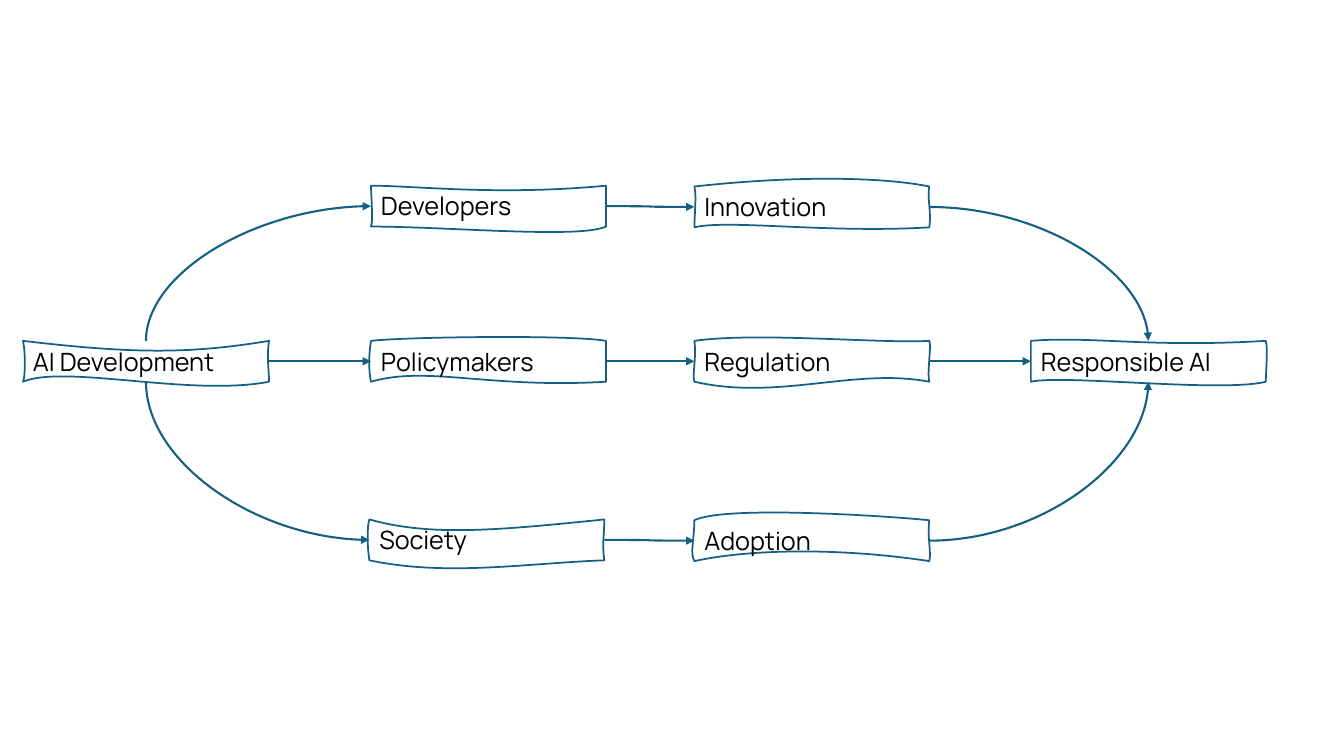
from dataclasses import dataclass

from lxml import etree
from pptx import Presentation
from pptx.dml.color import RGBColor
from pptx.enum.shapes import MSO_CONNECTOR
from pptx.enum.text import MSO_ANCHOR, MSO_AUTO_SIZE, PP_ALIGN
from pptx.oxml.ns import qn
from pptx.util import Cm, Pt

CURVE = MSO_CONNECTOR.CURVE
TOP = MSO_ANCHOR.TOP
GROW = MSO_AUTO_SIZE.SHAPE_TO_FIT_TEXT
LEFT = PP_ALIGN.LEFT


@dataclass(frozen=True)
class Theme:
    """Colours, type and line sizes of the slide."""
    ink: RGBColor = RGBColor(0x15, 0x60, 0x82)
    text: RGBColor = RGBColor(0, 0, 0)
    font: str = "Manrope"
    size: int = Pt(18)
    edge: int = Pt(1.25)
    arrow: int = Pt(1.5)


THEME = Theme()
WIDE, SLIM, TALL = 6.2, 5.92, 1.03
CORNERS = [(0, 0), (1, 0), (1, 1), (0, 1)]

# Name: left, top, width in cm, then two bends per side as shares of the box
NODES = {
    "AI Development": (0.58, 8.59, WIDE, [
        (.45, .32), (.68, .32), (.99, .45), (1, .67),
        (.68, 1.37), (.17, .57), (.01, .9), (.01, .25)]),
    "Developers": (9.35, 4.68, SLIM, [
        (.19, 0), (.54, .25), (1, .3), (1, .72),
        (.89, 1.3), (.32, 1), (.01, .9), (0, .15)]),
    "Innovation": (17.5, 4.7, SLIM, [
        (.48, -.3), (.83, -.2), (.99, .28), (1.01, .6),
        (.57, 1.15), (.14, .8), (0, .72), (.01, .22)]),
    "Responsible AI": (25.98, 8.59, SLIM, [
        (.26, -.12), (.5, .17), (1.01, .17), (1, .8),
        (.81, 1.27), (.14, .82), (0, .77), (0, .15)]),
    "Society": (9.31, 13.09, SLIM, [
        (.26, .42), (.54, .27), (1, .4), (.99, .55),
        (.67, 1.07), (.33, 1.4), (-.01, .65), (-.01, .15)]),
    "Adoption": (17.5, 13.11, SLIM, [
        (.13, -.37), (.83, -.1), (.99, .37), (1.01, .8),
        (.62, .67), (.24, .7), (-.02, .8), (0, .45)]),
    "Policymakers": (9.35, 8.59, SLIM, [
        (.15, -.1), (.86, -.15), (1, .4), (1, .52),
        (.5, 1.17), (.24, .6), (-.01, .77), (-.01, .32)]),
    "Regulation": (17.5, 8.59, SLIM, [
        (.27, -.22), (.79, .07), (1.01, .12), (.99, .77),
        (.68, .65), (.36, 1.47), (-.01, .82), (.01, .4)]),
}

LINKS = [
    ("AI Development", "top", "Developers", "left"),
    ("AI Development", "bottom", "Society", "left"),
    ("Innovation", "right", "Responsible AI", "top"),
    ("Adoption", "right", "Responsible AI", "bottom"),
    ("Developers", "right", "Innovation", "left"),
    ("AI Development", "right", "Policymakers", "left"),
    ("Policymakers", "right", "Regulation", "left"),
    ("Regulation", "right", "Responsible AI", "left"),
    ("Society", "right", "Adoption", "left"),
]

SIDES = {"top": (.5, 0), "bottom": (.5, 1), "left": (0, .5), "right": (1, .5)}


def bend(shape, bends):
    """Turn the four straight sides of a shape into curves."""
    path = next(shape._element.iter(qn("a:path")))
    for side in path.findall(qn("a:lnTo")):
        path.remove(side)
    shut = path.find(qn("a:close"))
    ends = CORNERS[1:] + CORNERS[:1]
    for i, end in enumerate(ends):
        curve = etree.Element(qn("a:cubicBezTo"))
        for x, y in bends[2 * i:2 * i + 2] + [end]:
            etree.SubElement(curve, qn("a:pt"), x=str(round(x * shape.width)),
                             y=str(round(y * shape.height)))
        shut.addprevious(curve)


def node(slide, label, box, bends):
    """Draw one wavy box with its label."""
    left, top, width, height = box
    spots = [(left + x * width, top + y * height) for x, y in CORNERS]
    pen = slide.shapes.build_freeform(*spots[0])
    pen.add_line_segments(spots[1:], close=True)
    shape = pen.convert_to_shape()
    bend(shape, bends)
    shape.shadow.inherit = False
    shape.fill.background()
    shape.line.color.rgb = THEME.ink
    shape.line.width = THEME.edge
    frame = shape.text_frame
    frame.text = label
    frame.word_wrap = True
    frame.vertical_anchor = TOP
    frame.auto_size = GROW
    para = frame.paragraphs[0]
    para.alignment = LEFT
    font = para.runs[0].font
    font.name, font.size = THEME.font, THEME.size
    font.color.rgb = THEME.text


def port(box, side):
    """Return the middle of one side of a box."""
    left, top, width, height = box
    x, y = SIDES[side]
    return left + x * width, top + y * height


def link(slide, start, end, rise, turn):
    """Draw one arrow; rise leaves upright and turn makes a quarter bend."""
    (x1, y1), (x2, y2) = start, end
    sign = 1 if y2 > y1 else -1
    if rise:
        mid_x, mid_y = (x1 + x2) / 2, (y1 + y2) / 2
        half_w, half_h = sign * (y2 - y1) / 2, sign * (x2 - x1) / 2
        x1, x2 = mid_x + half_w, mid_x - half_w
        y1, y2 = mid_y - half_h, mid_y + half_h
    line = slide.shapes.add_connector(
        CURVE, *(round(v) for v in (x1, y1, x2, y2)))
    line.line.color.rgb = THEME.ink
    line.line.width = THEME.arrow
    props = line._element.spPr
    if rise:
        angle = 270 if sign > 0 else 90
        props.find(qn("a:xfrm")).set("rot", str(angle * 60000))
    if turn:
        props.find(qn("a:prstGeom")).set("prst", "curvedConnector2")
    etree.SubElement(props.find(qn("a:ln")), qn("a:tailEnd"), type="triangle")
    etree.SubElement(props, qn("a:effectLst"))


def flow(slide, left, top):
    """Place all boxes and arrows from the given corner."""
    boxes = {}
    for label, (x, y, width, bends) in NODES.items():
        boxes[label] = left + Cm(x), top + Cm(y), Cm(width), Cm(TALL)
        node(slide, label, boxes[label], bends)
    for first, out, last, into in LINKS:
        rise = out in ("top", "bottom")
        turn = rise or into in ("top", "bottom")
        link(slide, port(boxes[first], out), port(boxes[last], into),
             rise, turn)


def main():
    """Build and save the slide."""
    deck = Presentation()
    deck.slide_width, deck.slide_height = Cm(33.87), Cm(19.05)
    slide = deck.slides.add_slide(deck.slide_layouts[6])
    flow(slide, Cm(0), Cm(0))
    deck.save("out.pptx")


if __name__ == "__main__":
    main()
